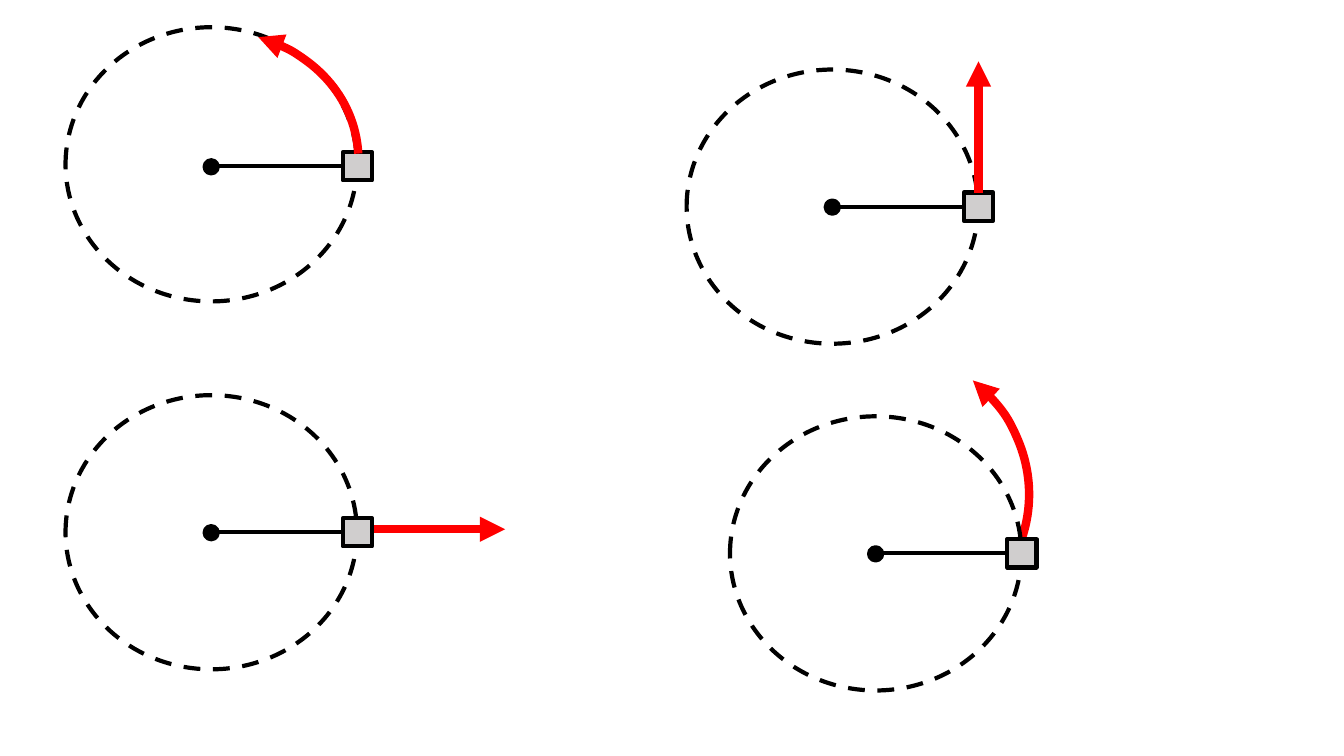
"""Four circular-motion diagrams, each with a different path for the released block."""
from lxml.etree import SubElement
from pptx import Presentation
from pptx.dml.color import RGBColor
from pptx.enum.dml import MSO_LINE
from pptx.enum.shapes import MSO_CONNECTOR, MSO_SHAPE
from pptx.oxml.ns import qn
from pptx.util import Inches, Pt

COLOURS = {"ink": "000000", "block": "D0CECE", "path": "FF0000"}

deck = Presentation()
deck.slide_width, deck.slide_height = Inches(13.33), Inches(7.5)
slide = deck.slides.add_slide(deck.slide_layouts[6])
ROWS = 75
CELL = deck.slide_height / ROWS


def cells(*counts):
    return [round(count * CELL) for count in counts]


def style(item, line, width, fill=None, arrow=None):
    item.line.color.rgb = RGBColor.from_string(COLOURS[line])
    item.line.width = Pt(width)
    if arrow:
        SubElement(item.line._ln, qn(f"a:{arrow}"), type="triangle")
    if hasattr(item, "begin_x"):
        SubElement(item._element.spPr, qn("a:effectLst"))
        return
    item.shadow.inherit = False
    if fill:
        item.fill.solid()
        item.fill.fore_color.rgb = RGBColor.from_string(COLOURS[fill])
    else:
        item.fill.background()


ORBIT_W, ORBIT_H = 28.9, 27.2
BLOCK_W, BLOCK_H = 2.9, 2.8
HUB = 1.3
ARROW = 13

diagrams = [
    {"orbit": (72.4, 41.3), "drop": 0, "route": "wide arc",
     "arc": (70.2, 34, 31.9, 29.3), "turn": 9.3, "angles": (182.516, 4.868)},
    {"orbit": (68.1, 6.9), "drop": 0, "route": "up"},
    {"orbit": (6.5, 2.7), "drop": 0.2, "route": "along orbit",
     "arc": (-0.4, 3.3, 36.3, 29.3), "turn": 341, "angles": (190.761, 6.199)},
    {"orbit": (6.5, 39.2), "drop": 0, "route": "outward"},
]

for diagram in diagrams:
    parts = slide.shapes.add_group_shape().shapes
    left, top = diagram["orbit"]
    block_x = left + 27.5
    block_y = top + 12.2 + diagram["drop"]
    middle_y = block_y + BLOCK_H / 2
    hub_x = left + 14.45

    layers = ["orbit", "string", "block", "hub", "route"]
    if diagram["route"] == "wide arc":
        layers.insert(0, layers.pop())

    for layer in layers:
        if layer == "orbit":
            orbit = parts.add_shape(MSO_SHAPE.OVAL, *cells(left, top, ORBIT_W, ORBIT_H))
            style(orbit, "ink", 3)
            orbit.line.dash_style = MSO_LINE.DASH
        elif layer == "string":
            string = parts.add_connector(
                MSO_CONNECTOR.STRAIGHT, *cells(block_x, middle_y, hub_x, middle_y))
            style(string, "ink", 3)
        elif layer == "block":
            block = parts.add_shape(
                MSO_SHAPE.RECTANGLE, *cells(block_x, block_y, BLOCK_W, BLOCK_H))
            style(block, "ink", 3, "block")
            string.begin_connect(block, 1)
        elif layer == "hub":
            hub = parts.add_shape(
                MSO_SHAPE.OVAL, *cells(hub_x - HUB / 2, middle_y + 0.05 - HUB / 2, HUB, HUB))
            style(hub, "ink", 3, "ink")
        elif "arc" in diagram:
            route = parts.add_shape(MSO_SHAPE.ARC, *cells(*diagram["arc"]))
            route.rotation = diagram["turn"]
            route.adjustments[0], route.adjustments[1] = diagram["angles"]
            style(route, "path", 6, arrow="headEnd")
        elif diagram["route"] == "up":
            start_x = block_x + BLOCK_W / 2
            route = parts.add_connector(
                MSO_CONNECTOR.STRAIGHT, *cells(start_x, block_y, start_x, block_y - ARROW))
            route.begin_connect(block, 0)
            style(route, "path", 6, arrow="tailEnd")
        else:
            start_x, start_y = block_x + BLOCK_W + 0.2, middle_y - 0.3
            route = parts.add_connector(
                MSO_CONNECTOR.STRAIGHT, *cells(start_x, start_y, start_x + ARROW, start_y))
            style(route, "path", 6, arrow="tailEnd")

deck.save("out.pptx")
